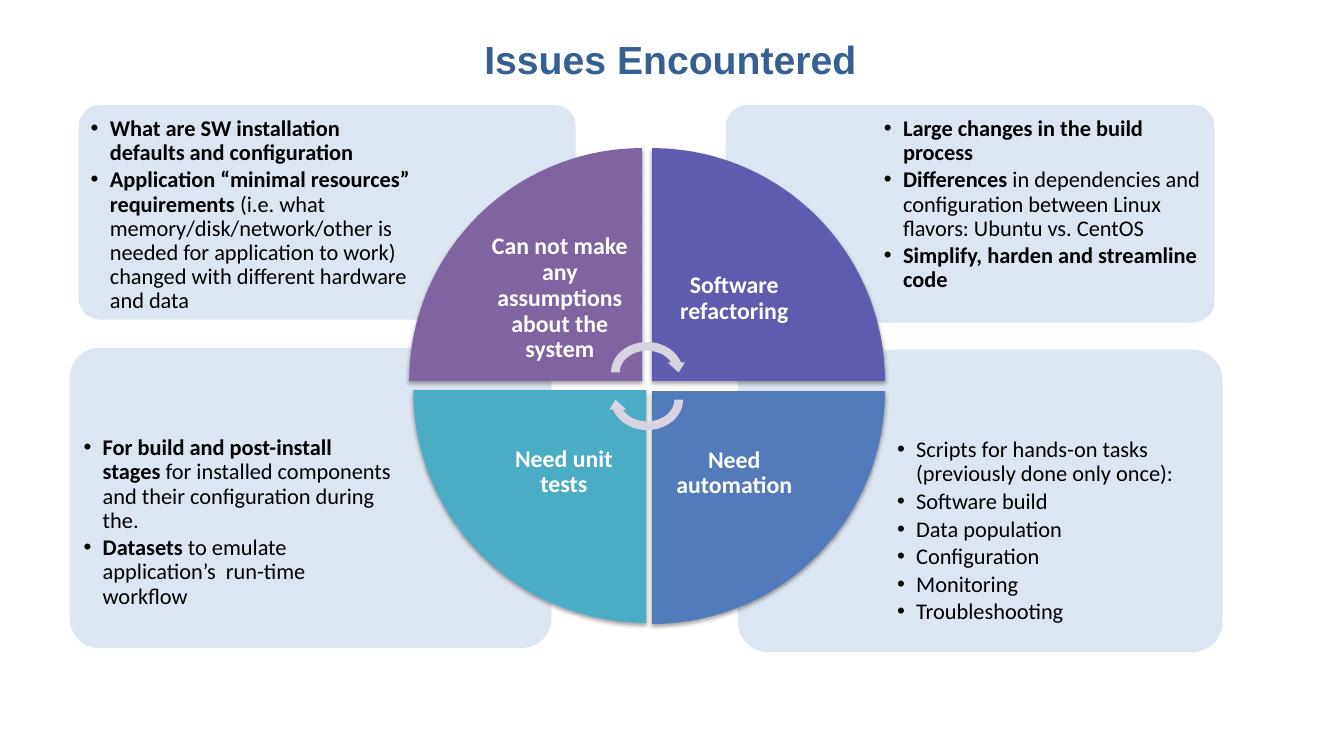
"""Build the Issues Encountered slide: a four-part wheel with a panel of notes for each part."""
import dataclasses

import lxml.etree
import pptx
import pptx.dml.color
import pptx.enum.shapes
import pptx.enum.text
import pptx.oxml.ns
import pptx.util

Pt = pptx.util.Pt
Shape = pptx.enum.shapes.MSO_SHAPE
Align = pptx.enum.text.PP_ALIGN
Anchor = pptx.enum.text.MSO_ANCHOR


@dataclasses.dataclass(frozen=True)
class Theme:
    """Colours, fonts and type sizes of the slide."""
    heading_font: str = "Arial"
    body_font: str = "Calibri"
    heading: str = "376092"
    text: str = "000000"
    light_text: str = "FFFFFF"
    panel: str = "DCE6F2"
    arrow: str = "D8D3E0"
    shadow: str = "000000"
    purple: str = "8064A2"
    indigo: str = "5F5BAE"
    blue: str = "537ABA"
    teal: str = "4BACC6"
    heading_size: float = 28
    label_size: float = 17
    note_size: float = 16


THEME = Theme()
WEDGE = 166.3
LABEL = 117.4
INDENT = 13.7

PANELS = [
    ((527, 249.8, 346.3, 216), (635.8, 308.2, 233.3, 152.6), [
        [("Scripts for hands-on tasks (previously done only once):", False)],
        [("Software build", False)],
        [("Data population", False)],
        [("Configuration", False)],
        [("Monitoring", False)],
        [("Troubleshooting", False)],
    ]),
    ((49.7, 248.4, 344.2, 214.6), (54.7, 306.7, 231.1, 151.2), [
        [("For build and post-install stages ", True),
         ("for installed components and their configuration during the.", False)],
        [("Datasets", True), (" to emulate application’s  run-time workflow", False)],
    ]),
    ((518.4, 74.9, 349.2, 155.5), (626.4, 78.5, 237.6, 109.4), [
        [("Large changes in the build process", True)],
        [("Differences ", True),
         ("in dependencies and configuration between Linux flavors: Ubuntu vs. CentOS", False)],
        [("Simplify, harden and streamline code", True)],
    ]),
    ((56.2, 74.9, 355, 153.4), (59.8, 78.5, 241.9, 108.7), [
        [("What are SW installation defaults and configuration", True)],
        [("Application “minimal resources” requirements", True),
         (" (i.e. what memory/disk/network/other is needed for application to work)"
          " changed with different hardware and data", False)],
    ]),
]

WEDGES = [
    (292.3, 105.8, 0, THEME.purple, "Can not make any assumptions about the system"),
    (465.8, 105.8, 90, THEME.indigo, "Software refactoring"),
    (465.8, 279.4, 180, THEME.blue, "Need automation"),
    (295.2, 278.6, 270, THEME.teal, "Need unit tests"),
]


class Painter:
    """Adds styled elements to one page."""

    def __init__(self, page, theme):
        self.page = page
        self.theme = theme

    def shape(self, kind, frame, colour, rotation=0):
        """Add a plain filled shape."""
        shape = self.page.shapes.add_shape(kind, *map(Pt, frame))
        shape.fill.solid()
        shape.fill.fore_color.rgb = pptx.dml.color.RGBColor.from_string(colour)
        shape.line.fill.background()
        shape.shadow.inherit = False
        shape.rotation = rotation
        return shape

    def box(self, frame, margin, anchor=Anchor.TOP):
        """Add an empty wrapping text box and return its text frame."""
        text = self.page.shapes.add_textbox(*map(Pt, frame)).text_frame
        text.word_wrap = True
        text.vertical_anchor = anchor
        text.margin_left = text.margin_right = Pt(margin)
        text.margin_top = text.margin_bottom = Pt(margin)
        return text

    def style(self, para, name, size, colour, bold):
        """Set the font of a whole paragraph."""
        font = para.font
        font.name, font.size, font.bold = name, Pt(size), bold
        font.color.rgb = pptx.dml.color.RGBColor.from_string(colour)

    def centred(self, frame, margin, words, name, size, colour):
        """Add one bold centred paragraph."""
        para = self.box(frame, margin, Anchor.MIDDLE).paragraphs[0]
        para.alignment = Align.CENTER
        para.line_spacing = 0.9
        para.add_run().text = words
        self.style(para, name, size, colour, True)

    def title(self, words):
        """Add the slide heading."""
        self.centred((46.8, 12.2, 864, 63.4), 3.6, words, self.theme.heading_font,
                     self.theme.heading_size, self.theme.heading)

    def bullet(self, para):
        """Give a paragraph a hanging round bullet."""
        props = para._p.get_or_add_pPr()
        props.set("marL", str(Pt(INDENT)))
        props.set("indent", str(-Pt(INDENT)))
        qn = pptx.oxml.ns.qn
        lxml.etree.SubElement(props, qn("a:buFont"), typeface="Arial")
        lxml.etree.SubElement(props, qn("a:buChar"), char="•")

    def panel(self, frame, text_frame, notes):
        """Add a rounded panel with bulleted notes."""
        self.shape(Shape.ROUNDED_RECTANGLE, frame, self.theme.panel).adjustments[0] = 0.1
        text = self.box(text_frame, 5)
        for index, spans in enumerate(notes):
            para = text.add_paragraph() if index else text.paragraphs[0]
            para.line_spacing = 0.9
            para.space_after = Pt(2.4)
            self.bullet(para)
            self.style(para, self.theme.body_font, self.theme.note_size,
                       self.theme.text, spans[0][1])
            for words, bold in spans:
                span = para.add_run()
                span.text = words
                if bold != spans[0][1]:
                    span.font.bold = bold

    def wedge(self, left, top, rotation, colour, words):
        """Add a shadowed quarter of the wheel with its label at the inner corner."""
        wedge = self.shape(Shape.PIE_WEDGE, (left, top, WEDGE, WEDGE), colour, rotation)
        qn = pptx.oxml.ns.qn
        effects = wedge._element.spPr.find(qn("a:effectLst"))
        shadow = lxml.etree.SubElement(
            effects, qn("a:outerShdw"), blurRad=str(Pt(3.1)), dist=str(Pt(1.8)),
            dir="5400000", rotWithShape="0")
        tint = lxml.etree.SubElement(shadow, qn("a:srgbClr"), val=self.theme.shadow)
        lxml.etree.SubElement(tint, qn("a:alpha"), val="35000")
        inset = WEDGE - LABEL
        label_left = left + inset * (rotation in (0, 270))
        label_top = top + inset * (rotation in (0, 90))
        self.centred((label_left, label_top, LABEL, LABEL), 9.4, words,
                     self.theme.body_font, self.theme.label_size, self.theme.light_text)

    def arrow(self, top, rotation):
        """Add a circular arrow at the hub of the wheel."""
        self.shape(Shape.CIRCULAR_ARROW, (433.4, top, 57.6, 49.7), self.theme.arrow, rotation)


def main():
    """Assemble and save the deck."""
    deck = pptx.Presentation()
    deck.slide_width, deck.slide_height = Pt(960), Pt(540)
    painter = Painter(deck.slides.add_slide(deck.slide_layouts[6]), THEME)
    painter.title("Issues Encountered")
    for panel in PANELS:
        painter.panel(*panel)
    for wedge in WEDGES:
        painter.wedge(*wedge)
    painter.arrow(241.2, 0)
    painter.arrow(260.6, 180)
    deck.save("out.pptx")


if __name__ == "__main__":
    main()
